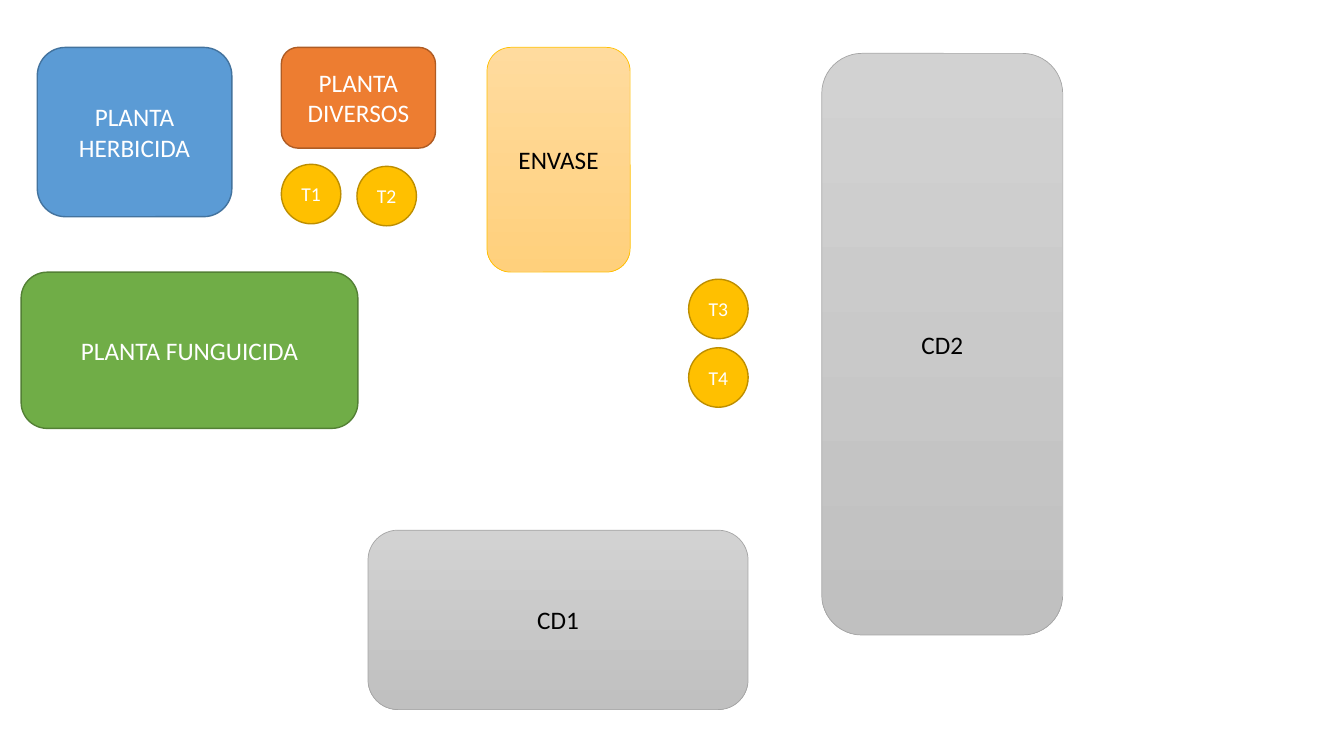
"""Builds the plant layout slide with production plants, tanks, packaging and warehouses."""
import pptx
import pptx.dml.color
import pptx.enum.shapes
import pptx.enum.text
import pptx.util

Inches = pptx.util.Inches
Pt = pptx.util.Pt
Outline = pptx.enum.shapes.MSO_SHAPE

COLORS = {
    "white": "FFFFFF", "black": "000000",
    "blue": "5B9BD5", "blue edge": "43739E",
    "green": "70AD47", "green edge": "538035",
    "orange": "ED7D31", "orange edge": "AF5C24",
    "gold": "FFC000", "gold edge": "BD8E00",
    "sand top": "FFDB9E", "sand bottom": "FFD07C",
    "gray top": "D2D2D2", "gray bottom": "C0C0C0", "gray edge": "A5A5A5",
}
PLANTS = [
    (["PLANTA", "HERBICIDA"], (0.37, 0.47, 1.93, 1.68), "blue"),
    (["PLANTA FUNGUICIDA"], (0.21, 2.7, 3.34, 1.55), "green"),
    (["PLANTA", "DIVERSOS"], (2.79, 0.47, 1.53, 1), "orange"),
]
STORES = [
    ("ENVASE", (4.83, 0.47, 1.42, 2.23), "sand", "gold"),
    ("CD2", (8.15, 0.53, 2.39, 5.77), "gray", "gray edge"),
    ("CD1", (3.65, 5.26, 3.77, 1.78), "gray", "gray edge"),
]
TANKS = [("T1", 2.79, 1.63), ("T2", 3.54, 1.65), ("T3", 6.83, 2.77), ("T4", 6.83, 3.45)]
TANK_SIZE = 0.59


def rgb(name):
    return pptx.dml.color.RGBColor.from_string(COLORS[name])


def add_area(outline, box, lines, fills, edge, edge_width, ink, size):
    area = slide.shapes.add_shape(outline, *map(Inches, box))
    area.shadow.inherit = False
    if len(fills) == 1:
        area.fill.solid()
        area.fill.fore_color.rgb = rgb(fills[0])
    else:
        area.fill.gradient()
        area.fill.gradient_angle = 270
        for stop, fill in zip(area.fill.gradient_stops, fills):
            stop.color.rgb = rgb(fill)
    area.line.color.rgb = rgb(edge)
    area.line.width = Pt(edge_width)
    label = area.text_frame
    label.word_wrap = True
    label.vertical_anchor = pptx.enum.text.MSO_ANCHOR.MIDDLE
    for index, line in enumerate(lines):
        paragraph = label.add_paragraph() if index else label.paragraphs[0]
        paragraph.alignment = pptx.enum.text.PP_ALIGN.CENTER
        run = paragraph.add_run()
        run.text = line
        run.font.name = "Calibri"
        run.font.size = Pt(size)
        run.font.color.rgb = rgb(ink)


deck = pptx.Presentation()
deck.slide_width = Inches(13.33)
deck.slide_height = Inches(7.5)
slide = deck.slides.add_slide(deck.slide_layouts[6])

for lines, box, hue in PLANTS:
    add_area(Outline.ROUNDED_RECTANGLE, box, lines, [hue], f"{hue} edge", 1, "white", 18)
for name, box, hue, edge in STORES:
    fills = [f"{hue} top", f"{hue} bottom"]
    add_area(Outline.ROUNDED_RECTANGLE, box, [name], fills, edge, 0.5, "black", 18)
for name, left, top in TANKS:
    box = (left, top, TANK_SIZE, TANK_SIZE)
    add_area(Outline.OVAL, box, [name], ["gold"], "gold edge", 1, "white", 14)

deck.save("out.pptx")
